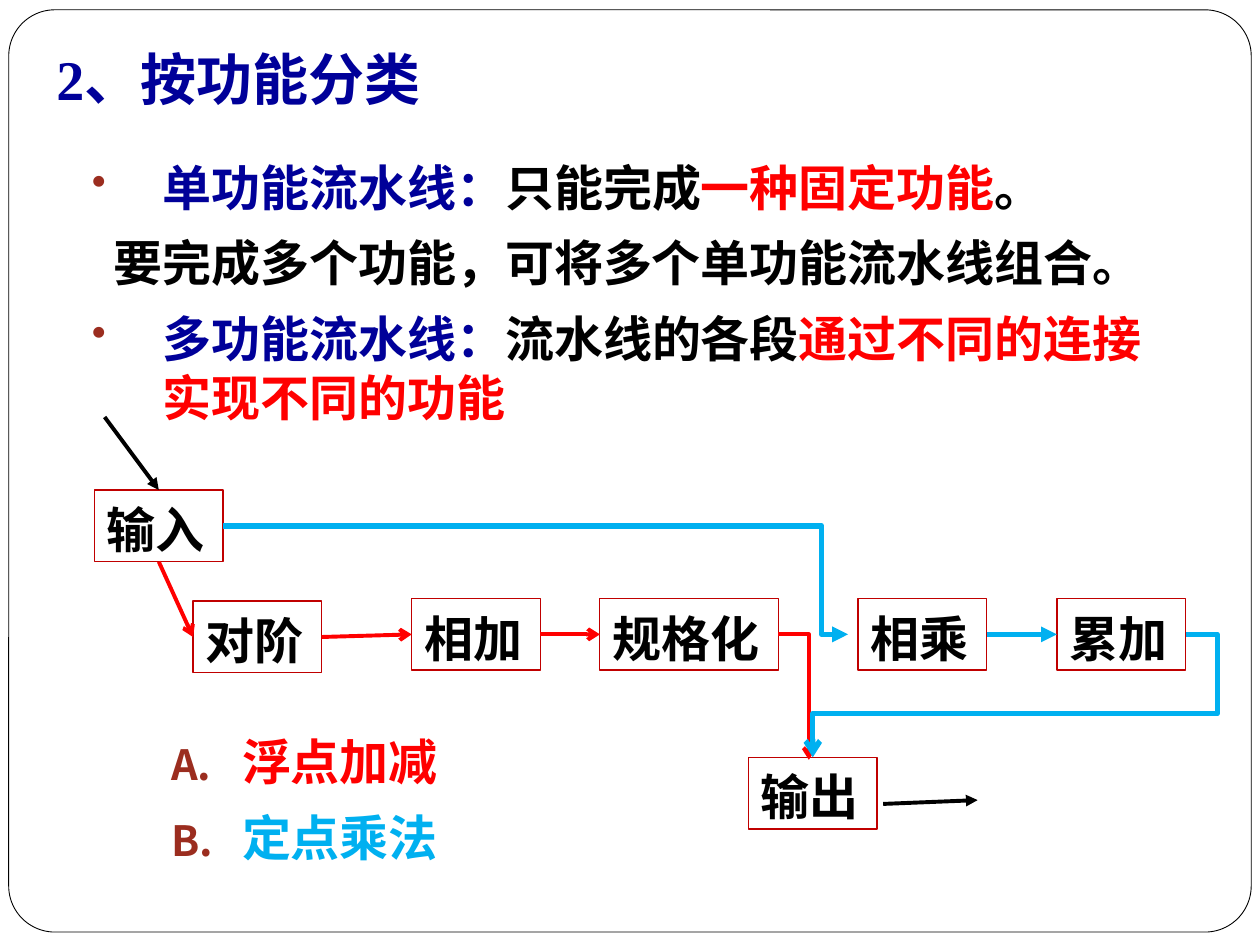
from lxml.etree import SubElement
from pptx import Presentation
from pptx.dml.color import RGBColor
from pptx.enum.shapes import MSO_CONNECTOR, MSO_SHAPE
from pptx.enum.text import MSO_ANCHOR
from pptx.oxml.ns import qn
from pptx.util import Pt

COLORS = {"navy": "000099", "black": "000000", "red": "FF0000", "blue": "00B0F0",
          "border": "C00000", "bullet": "9B2D1F", "white": "FFFFFF"}
CJK_FONT = "Noto Sans CJK SC"
BULLETS = {"dot": ("a:buChar", {"char": "•"}),
           "letter": ("a:buAutoNum", {"type": "alphaUcPeriod"})}


def write_text(box, paragraphs, size=28, font=CJK_FONT, top=7):
    """Fill a shape with (bullet, left margin, [(text, color), ...]) paragraphs."""
    frame = box.text_frame
    settings = {"word_wrap": True, "vertical_anchor": MSO_ANCHOR.TOP,
                "margin_left": Pt(7.2), "margin_right": Pt(7.2),
                "margin_top": Pt(top), "margin_bottom": Pt(1.5)}
    for name, value in settings.items():
        setattr(frame, name, value)
    for index, (bullet, margin, spans) in enumerate(paragraphs):
        para = frame.add_paragraph() if index else frame.paragraphs[0]
        para.line_spacing = Pt(size * 1.2)
        para.space_before = Pt(3.7 if index else 0)
        para.space_after = Pt(6 if len(paragraphs) > 1 else 0)
        properties = para._p.get_or_add_pPr()
        properties.set("algn", "l")
        properties.set("marL", str(Pt(margin)))
        if bullet:
            properties.set("indent", str(-Pt(margin)))
            color = SubElement(properties, qn("a:buClr"))
            SubElement(color, qn("a:srgbClr"), val=COLORS["bullet"])
            SubElement(properties, qn("a:buSzPct"), val="85000")
            tag, attributes = BULLETS[bullet]
            SubElement(properties, qn(tag), attributes)
        for text, color in spans:
            span = para.add_run()
            span.text = text
            for name, value in {"size": Pt(size), "bold": True, "name": font}.items():
                setattr(span.font, name, value)
            span.font.color.rgb = RGBColor.from_string(COLORS[color])
            SubElement(span._r.get_or_add_rPr(), qn("a:ea"), typeface=CJK_FONT)


def add_arrow(kind, points, color, width, head):
    arrow = page.shapes.add_connector(kind, *[Pt(value) for value in points])
    arrow.line.color.rgb = RGBColor.from_string(COLORS[color])
    arrow.line.width = Pt(width)
    SubElement(arrow.line._get_or_add_ln(), qn("a:tailEnd"), type=head)
    SubElement(arrow._element.spPr, qn("a:effectLst"))
    return arrow


deck = Presentation()
deck.slide_width, deck.slide_height = Pt(720), Pt(540)
page = deck.slides.add_slide(deck.slide_layouts[6])

border = page.shapes.add_shape(MSO_SHAPE.ROUNDED_RECTANGLE, Pt(5), Pt(5.6), Pt(710), Pt(527))
border.adjustments[0] = 0.05
border.shadow.inherit = False
border.fill.solid()
border.fill.fore_color.rgb = RGBColor.from_string(COLORS["white"])
border.line.color.rgb = RGBColor.from_string(COLORS["black"])
border.line.width = Pt(0.5)

title = page.shapes.add_textbox(Pt(25.2), Pt(20.2), Pt(621.4), Pt(46))
write_text(title, [(None, 0, [("2、按功能分类", "navy")])], 32, "Times New Roman", 5.5)

body = page.shapes.add_textbox(Pt(45.4), Pt(82.8), Pt(638), Pt(187.2))
write_text(body, [
    ("dot", 40.5, [("单功能流水线：", "navy"), ("只能完成", "black"),
                   ("一种固定功能", "red"), ("。", "black")]),
    (None, 12.5, [("要完成多个功能，可将多个单功能流水线组合。", "black")]),
    ("dot", 40.5, [("多功能流水线：", "navy"), ("流水线的各段", "black"),
                   ("通过不同的连接实现不同的功能", "red")]),
])

legend = page.shapes.add_textbox(Pt(90.7), Pt(411.1), Pt(229.7), Pt(102.2))
write_text(legend, [("letter", 40.5, [("浮点加减", "red")]),
                    ("letter", 40.5, [("定点乘法", "blue")])])

# Pipeline stages: left, top, width
ROW = 342
stages = {}
for label, left, top, width in [
    ("输入", 54, 280, 73.5), ("对阶", 110.3, 343.5, 73.5), ("相加", 235.3, ROW, 73.5),
    ("规格化", 342.8, ROW, 102), ("相乘", 490.3, ROW, 73.5), ("累加", 604, ROW, 73.5),
    ("输出", 427.7, 432.7, 73.5),
]:
    stage = page.shapes.add_shape(MSO_SHAPE.RECTANGLE, Pt(left), Pt(top), Pt(width), Pt(41))
    stage.shadow.inherit = False
    stage.fill.background()
    stage.line.color.rgb = RGBColor.from_string(COLORS["border"])
    stage.line.width = Pt(0.75)
    write_text(stage, [(None, 0, [(label, "black")])], font="Arial", top=5.5)
    stages[label] = stage

# Straight arrows between stages; sites: 0 top, 1 left, 2 bottom, 3 right
for start, start_site, end, color, width, head in [
    ("输入", 2, "对阶", "red", 2.25, "arrow"),
    ("对阶", 3, "相加", "red", 2.25, "arrow"),
    ("相加", 3, "规格化", "red", 2.25, "arrow"),
    ("相乘", 3, "累加", "blue", 3, "triangle"),
]:
    arrow = add_arrow(MSO_CONNECTOR.STRAIGHT, (0, 0, 0, 0), color, width, head)
    arrow.begin_connect(stages[start], start_site)
    arrow.end_connect(stages[end], 1)

entry = add_arrow(MSO_CONNECTOR.STRAIGHT, (59.8, 238.3, 90.75, 280), "black", 2.25, "triangle")
entry.end_connect(stages["输入"], 0)
add_arrow(MSO_CONNECTOR.STRAIGHT, (504.7, 459.4, 558.7, 457.2), "black", 2.25, "triangle")

# Elbow arrows with their bend positions in 1/100000 of the extent
for preset, points, color, width, head, bends in [
    ("bentConnector2", (444.8, 362.5, 462.2, 434.2), "red", 2.25, "arrow", []),
    ("bentConnector3", (127.5, 300.5, 484.6, 362.5), "blue", 3, "triangle", [95800]),
    ("bentConnector4", (677.5, 362.5, 464.5, 432.7), "blue", 3, "arrow", [-8500, 64700]),
]:
    elbow = add_arrow(MSO_CONNECTOR.ELBOW, points, color, width, head)
    geometry = elbow._element.spPr.find(qn("a:prstGeom"))
    geometry.set("prst", preset)
    guides = geometry.find(qn("a:avLst"))
    for number, bend in enumerate(bends, 1):
        SubElement(guides, qn("a:gd"), name=f"adj{number}", fmla=f"val {bend}")

deck.save("out.pptx")
